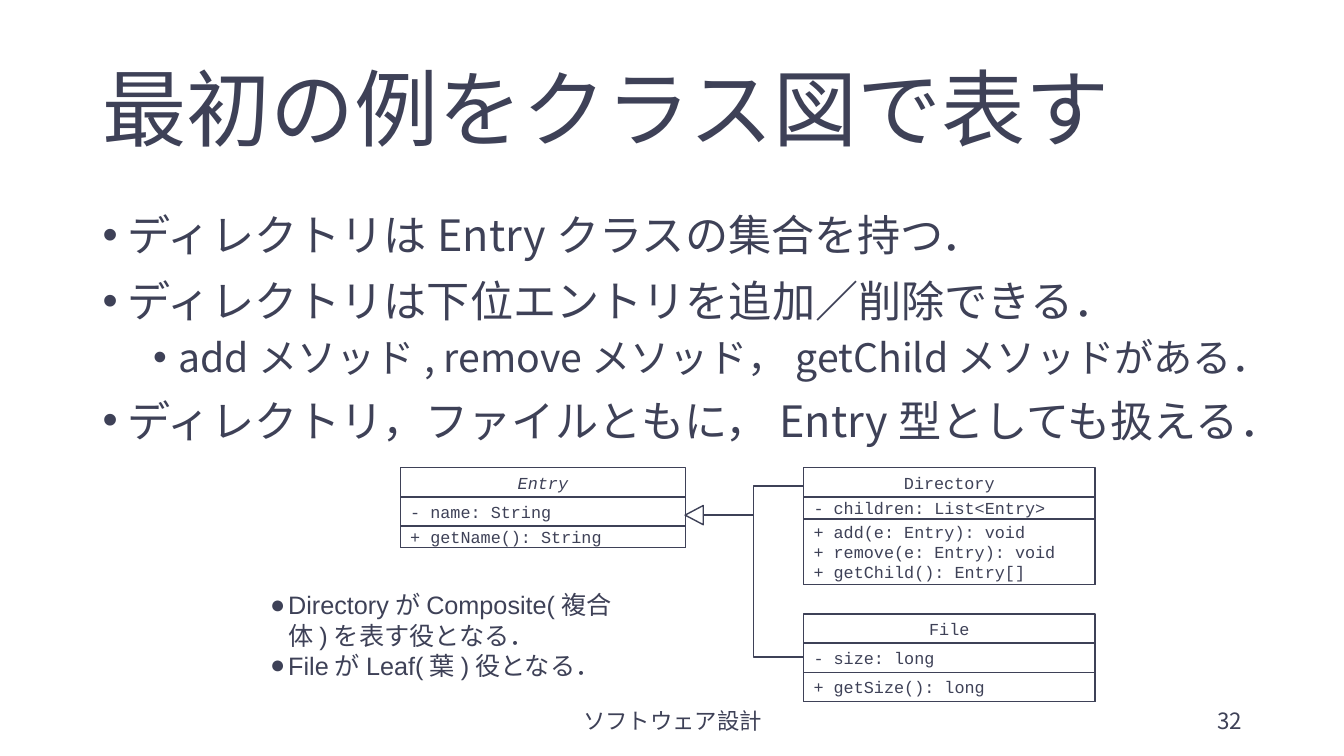
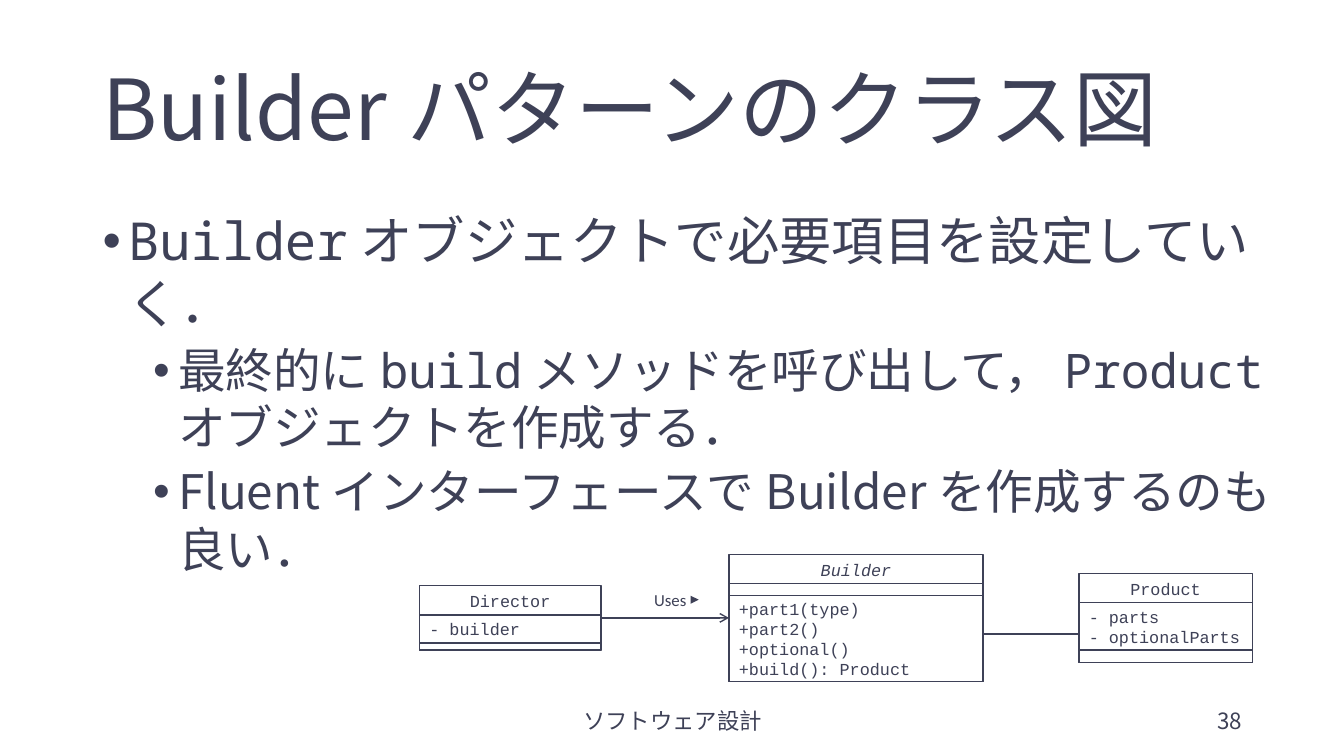
"""Build two slides that show design patterns as class diagrams."""
from lxml.etree import SubElement
from pptx import Presentation
from pptx.dml.color import RGBColor
from pptx.enum.shapes import MSO_CONNECTOR, MSO_SHAPE
from pptx.enum.text import MSO_ANCHOR, PP_ALIGN
from pptx.oxml.ns import qn
from pptx.util import Inches, Pt

INK = RGBColor(0x3E, 0x41, 0x57)
WHITE = RGBColor(0xFF, 0xFF, 0xFF)
SANS = "Noto Sans CJK JP"
MONO = "Noto Sans Mono"
CODE = "Courier New"
NAME_HEIGHT = 0.29


class Slides:
    def __init__(self):
        self.deck = Presentation()
        self.deck.slide_width = Inches(13.33)
        self.deck.slide_height = Inches(7.5)
        self.page = None

    def start(self, title, number):
        self.page = self.deck.slides.add_slide(self.deck.slide_layouts[6])
        heading = self.text(0.92, 0.4, 11.5, 1.45, [title], 60, anchor=MSO_ANCHOR.MIDDLE)
        heading.text_frame.paragraphs[0].line_spacing = 0.9
        self.text(4.42, 6.95, 4.5, 0.4, ["ソフトウェア設計"], 16,
                  align=PP_ALIGN.CENTER, anchor=MSO_ANCHOR.MIDDLE)
        self.text(9.42, 6.95, 3, 0.4, [number], 16,
                  align=PP_ALIGN.RIGHT, anchor=MSO_ANCHOR.MIDDLE)

    def style(self, para, size, font=SANS, align=PP_ALIGN.LEFT, italic=False):
        para.alignment = align
        para.font.size = Pt(size)
        para.font.name = font
        para.font.italic = italic
        para.font.color.rgb = INK
        SubElement(para.font._element, qn("a:ea"), typeface=SANS)

    def bullet(self, para, mark, indent, hanging):
        properties = para._p.get_or_add_pPr()
        properties.set("marL", str(Inches(indent)))
        properties.set("indent", str(-Inches(hanging)))
        SubElement(properties, qn("a:buFont"), typeface="Arial")
        SubElement(properties, qn("a:buChar"), char=mark)

    def fill_text(self, shape, lines, size, font=SANS, align=PP_ALIGN.LEFT,
                  anchor=MSO_ANCHOR.TOP, italic=False, wrap=True, mark=None):
        frame = shape.text_frame
        frame.word_wrap = wrap
        frame.vertical_anchor = anchor
        for index, line in enumerate(lines):
            para = frame.add_paragraph() if index else frame.paragraphs[0]
            para.text = line
            if mark:
                self.bullet(para, mark, 0.18, 0.18)
            self.style(para, size, font, align, italic)

    def text(self, left, top, width, height, lines, size, **options):
        box = self.page.shapes.add_textbox(
            Inches(left), Inches(top), Inches(width), Inches(height))
        self.fill_text(box, lines, size, **options)
        return box

    def body(self, width, height, size, items):
        box = self.page.shapes.add_textbox(
            Inches(0.92), Inches(2.02), Inches(width), Inches(height))
        frame = box.text_frame
        frame.word_wrap = True
        for index, (level, spans) in enumerate(items):
            para = frame.add_paragraph() if index else frame.paragraphs[0]
            para.level = level
            self.bullet(para, "•", 0.25 + 0.5 * level, 0.25)
            self.style(para, size if level else size * 1.1)
            if index:
                para.space_before = Pt(5 if level else 10)
            for content, font in spans:
                span = para.add_run()
                span.text = content
                if font != SANS:
                    span.font.name = font

    def shape(self, kind, left, top, width, height, fill=WHITE, rotation=0, parent=None):
        shape = (parent or self.page).shapes.add_shape(
            kind, Inches(left), Inches(top), Inches(width), Inches(height))
        shape.shadow.inherit = False
        shape.fill.solid()
        shape.fill.fore_color.rgb = fill
        shape.line.color.rgb = INK
        shape.line.width = Pt(1)
        shape.rotation = rotation
        return shape

    def uml_class(self, left, top, width, name, compartments, abstract=False):
        group = self.page.shapes.add_group_shape()
        height = NAME_HEIGHT + sum(size for size, _ in compartments)
        frame = self.shape(MSO_SHAPE.RECTANGLE, left, top, width, height, parent=group)
        self.fill_text(frame, [name], 12, CODE, PP_ALIGN.CENTER, italic=abstract)
        top += NAME_HEIGHT
        for size, members in compartments:
            cell = self.shape(MSO_SHAPE.RECTANGLE, left, top, width, size, parent=group)
            if members:
                self.fill_text(cell, members, 12, CODE, anchor=MSO_ANCHOR.MIDDLE)
            top += size
        return frame

    def connector(self, kind, start, end, source=None, target=None, arrow=False):
        link = self.page.shapes.add_connector(kind, *map(Inches, start + end))
        if source:
            link.begin_connect(source, 3)
        if target:
            link.end_connect(target, 1)
        link.line.color.rgb = INK
        link.line.width = Pt(1)
        properties = link._element.spPr
        if arrow:
            SubElement(properties.find(qn("a:ln")), qn("a:tailEnd"), {"type": "arrow"})
        SubElement(properties, qn("a:effectLst"))


def composite_slide(slides):
    slides.start("最初の例をクラス図で表す", "32")
    slides.body(11.5, 2.65, 28, [
        (0, [("ディレクトリはEntryクラスの集合を持つ．", SANS)]),
        (0, [("ディレクトリは下位エントリを追加／削除できる．", SANS)]),
        (1, [("addメソッド, removeメソッド，getChildメソッドがある．", SANS)]),
        (0, [("ディレクトリ，ファイルともに，Entry型としても扱える．", SANS)]),
    ])
    slides.uml_class(3.97, 4.64, 2.83, "Entry", [
        (0.29, ["- name: String"]),
        (0.21, ["+ getName(): String"]),
    ], abstract=True)
    slides.uml_class(7.97, 4.64, 2.89, "Directory", [
        (0.22, ["- children: List<Entry>"]),
        (0.65, ["+ add(e: Entry): void", "+ remove(e: Entry): void", "+ getChild(): Entry[]"]),
    ])
    slides.uml_class(7.97, 6.09, 2.89, "File", [
        (0.29, ["- size: long"]),
        (0.29, ["+ getSize(): long"]),
    ])
    for child_y in (4.82, 6.52):
        slides.connector(MSO_CONNECTOR.ELBOW, (7.97, child_y), (6.98, 5.11))
    slides.shape(MSO_SHAPE.ISOSCELES_TRIANGLE, 6.79, 5.02, 0.19, 0.18, rotation=270)
    slides.text(2.58, 5.8, 3.59, 1.01, [
        "DirectoryがComposite(複合体)を表す役となる．",
        "FileがLeaf(葉)役となる．",
    ], 18, font="Arial", mark="●")


def builder_slide(slides):
    slides.start("Builderパターンのクラス図", "38")
    slides.body(11.82, 3.57, 34, [
        (0, [("Builder", MONO), ("オブジェクトで必要項目を設定していく．", SANS)]),
        (1, [("最終的に", SANS), ("build", MONO), ("メソッドを呼び出して，", SANS),
             ("Product", MONO), ("オブジェクトを作成する．", SANS)]),
        (1, [("FluentインターフェースでBuilderを作成するのも良い．", SANS)]),
    ])
    builder = slides.uml_class(7.23, 5.5, 2.52, "Builder", [
        (0.12, []),
        (0.85, ["+part1(type)", "+part2()", "+optional()", "+build(): Product"]),
    ], abstract=True)
    director = slides.uml_class(4.16, 5.81, 1.8, "Director", [
        (0.28, ["- builder"]),
        (0.07, []),
    ])
    slides.uml_class(10.7, 5.69, 1.72, "Product", [
        (0.47, ["- parts", "- optionalParts"]),
        (0.12, []),
    ])
    slides.connector(MSO_CONNECTOR.STRAIGHT, (5.96, 6.13), (7.23, 6.13),
                     director, builder, arrow=True)
    slides.connector(MSO_CONNECTOR.STRAIGHT, (10.7, 6.29), (9.75, 6.29))
    slides.text(6.39, 5.8, 0.53, 0.3, ["Uses"], 12, font="Calibri", wrap=False)
    pointer = slides.shape(MSO_SHAPE.ISOSCELES_TRIANGLE, 6.85, 5.91, 0.08, 0.08,
                           fill=INK, rotation=90)
    pointer.line.fill.background()


def main():
    slides = Slides()
    composite_slide(slides)
    builder_slide(slides)
    slides.deck.save("out.pptx")


if __name__ == "__main__":
    main()
